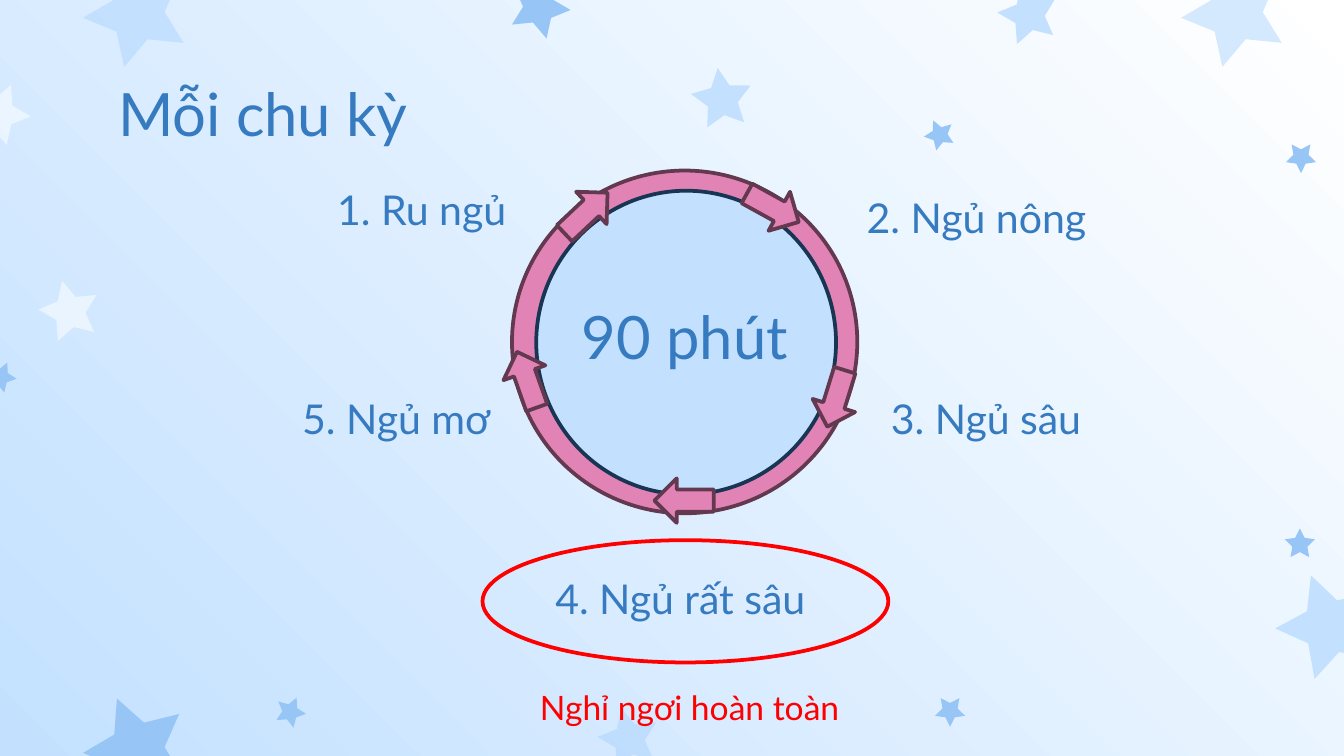
from math import cos, pi, radians, sin

from lxml import etree
from pptx import Presentation
from pptx.dml.color import RGBColor
from pptx.enum.shapes import MSO_SHAPE as Preset
from pptx.enum.text import MSO_ANCHOR as Anchor, PP_ALIGN as Align
from pptx.oxml.ns import qn
from pptx.util import Pt

WHITE = RGBColor(0xFF, 0xFF, 0xFF)
PALE = RGBColor(0xC3, 0xE1, 0xFF)
SKY = RGBColor(0xA6, 0xD1, 0xFE)
BRIGHT = RGBColor(0x96, 0xC5, 0xF6)
TEXT_BLUE = RGBColor(0x36, 0x7A, 0xC0)
NAVY = RGBColor(0x18, 0x35, 0x54)
PINK = RGBColor(0xE2, 0x83, 0xB5)
PLUM = RGBColor(0x63, 0x39, 0x4F)
RED = RGBColor(0xFF, 0x00, 0x00)

FONT = "Lato"
BIG, MEDIUM, SMALL = 29.2, 17, 8.5

# centre x, centre y, radius, tilt in degrees, colour, opacity in percent
STARS = [
    (661.9, 7.5, BIG, -22, SKY, 46),
    (697, 84.3, SMALL, 36, BRIGHT, 100),
    (337, 396, MEDIUM, -14, SKY, 46),
    (288.7, 4.2, MEDIUM, 22, BRIGHT, 100),
    (-0.5, 61.2, MEDIUM, 22, WHITE, 53),
    (73.6, 7.5, BIG, -22, SKY, 46),
    (0.5, 202, SMALL, 24, BRIGHT, 100),
    (712.3, 335.7, BIG, -20, PALE, 100),
    (509, 380.9, SMALL, 36, BRIGHT, 100),
    (696.4, 291.6, SMALL, 0, BRIGHT, 100),
    (73.6, 401.3, BIG, -22, BRIGHT, 100),
    (551.2, 7.9, MEDIUM, -14, PALE, 100),
    (155.5, 381.5, SMALL, 24, BRIGHT, 100),
    (37.4, 167, MEDIUM, -14, WHITE, 53),
    (386.9, 53.3, MEDIUM, -8, PALE, 100),
    (503.4, 72.3, SMALL, -24, BRIGHT, 100),
]

# wording, left, top, alignment
STAGES = [
    ("1. Ru ngủ", 173.5, 91.4, Align.LEFT),
    ("2. Ngủ nông", 416.9, 95.8, Align.RIGHT),
    ("3. Ngủ sâu", 470.2, 203.8, Align.LEFT),
    ("4. Ngủ rất sâu", 266.4, 300.2, Align.RIGHT),
    ("5. Ngủ mơ", 154.8, 203.8, Align.LEFT),
]

# left, top, rotation
ARROWS = [
    (398.2, 99.4, 28.9),
    (432, 201.6, 107.2),
    (298.1, 102.2, 316.7),
    (350.6, 256.3, 180),
    (266.4, 191.5, 250.5),
]


def paint_background(slide):
    fill = slide.background.fill
    fill.gradient()
    fill.gradient_angle = 45
    for stop, color, position in zip(fill.gradient_stops, (PALE, WHITE), (0, 1)):
        stop.color.rgb = color
        stop.position = position


def add_star(slide, x, y, radius, tilt, color, opacity):
    """Five-pointed star whose inner radius is half the outer one."""
    corners = []
    for i in range(10):
        reach = radius if i % 2 == 0 else radius / 2
        angle = radians(tilt) + i * pi / 5
        corners.append((Pt(x + reach * sin(angle)), Pt(y - reach * cos(angle))))
    builder = slide.shapes.build_freeform(*corners[0], scale=1.0)
    builder.add_line_segments(corners[1:], close=True)
    star = builder.convert_to_shape()
    star.shadow.inherit = False
    star.fill.solid()
    star.fill.fore_color.rgb = color
    star.line.fill.background()
    if opacity < 100:
        rgb = next(star.fill._xPr.iter(qn("a:srgbClr")))
        etree.SubElement(rgb, qn("a:alpha")).set("val", str(opacity * 1000))


def add_outlined(slide, preset, box, line, fill=None, rotation=0):
    shape = slide.shapes.add_shape(preset, *map(Pt, box))
    shape.rotation = rotation
    shape.shadow.inherit = False
    if fill is None:
        shape.fill.background()
    else:
        shape.fill.solid()
        shape.fill.fore_color.rgb = fill
    shape.line.color.rgb = line
    shape.line.width = Pt(2)


def add_text(slide, wording, box, size, color=TEXT_BLUE, align=Align.LEFT, inset=None):
    frame = slide.shapes.add_textbox(*map(Pt, box)).text_frame
    layout = {"word_wrap": True, "vertical_anchor": Anchor.TOP}
    if inset is not None:
        for side in ("left", "top", "right", "bottom"):
            layout[f"margin_{side}"] = Pt(inset)
    for key, value in layout.items():
        setattr(frame, key, value)
    paragraph = frame.paragraphs[0]
    paragraph.alignment = align
    run = paragraph.add_run()
    run.text = wording
    for key, value in {"name": FONT, "size": Pt(size)}.items():
        setattr(run.font, key, value)
    run.font.color.rgb = color


def add_cycle(slide):
    add_outlined(slide, Preset.OVAL, (274.3, 91.4, 185, 183.6), PLUM, PINK)
    add_outlined(slide, Preset.OVAL, (287.3, 102.2, 160.6, 162.7), NAVY, PALE)
    for left, top, rotation in ARROWS:
        add_outlined(slide, Preset.RIGHT_ARROW, (left, top, 31.7, 23.8),
                     PLUM, PINK, rotation)
    add_text(slide, "90 phút", (287.3, 157, 159.1, 46.1), 32, align=Align.CENTER)


def main():
    deck = Presentation()
    deck.slide_width, deck.slide_height = Pt(720), Pt(405)
    slide = deck.slides.add_slide(deck.slide_layouts[6])
    paint_background(slide)
    for star in STARS:
        add_star(slide, *star)
    add_text(slide, "Mỗi chu kỳ", (56.2, 33.8, 607.7, 36.7), 32, inset=7.2)
    for wording, left, top, align in STAGES:
        add_text(slide, wording, (left, top, 172.1, 30.2), 22, align=align, inset=7.2)
    add_cycle(slide)
    add_outlined(slide, Preset.OVAL, (258.5, 289.4, 217.4, 65.5), RED)
    add_text(slide, "Nghỉ ngơi hoàn toàn", (282.2, 364.3, 181.4, 28.8), 18, RED)
    deck.save("out.pptx")


if __name__ == "__main__":
    main()
